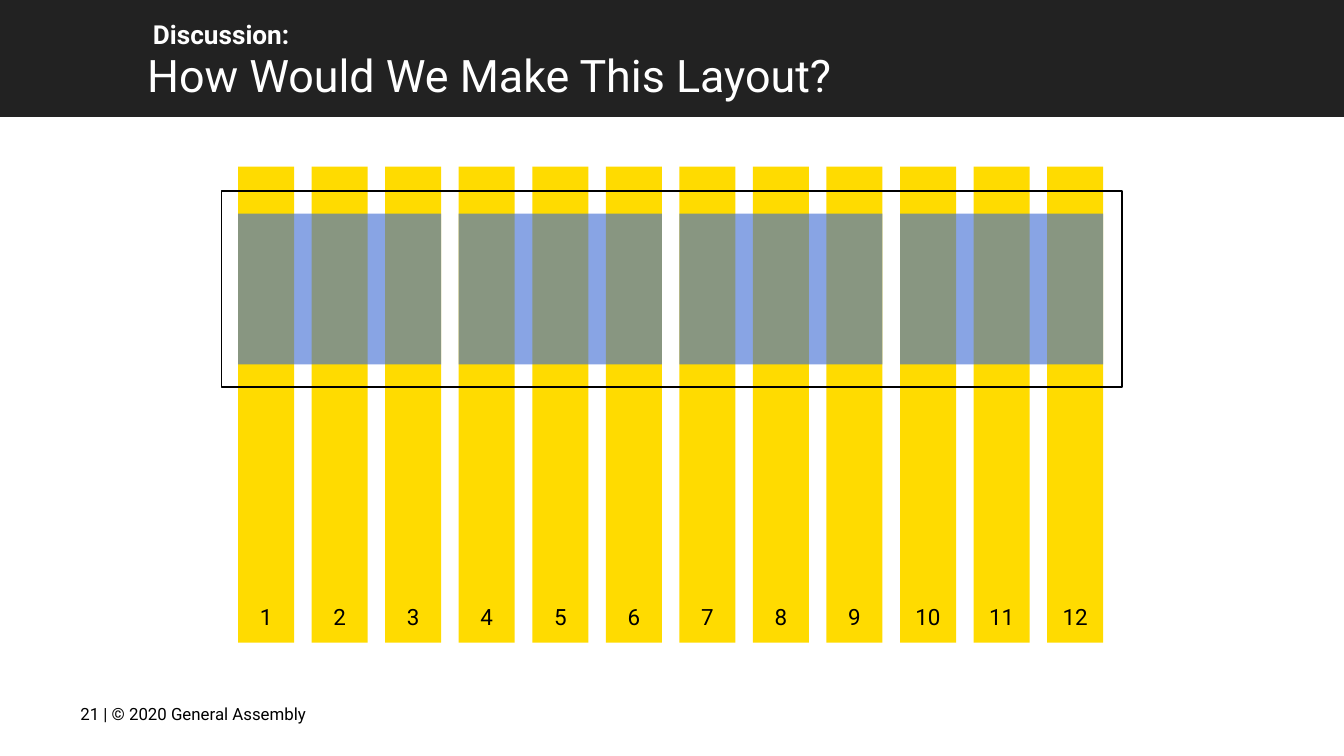
from pptx import Presentation
from pptx.dml.color import RGBColor as RGB
from pptx.enum.shapes import MSO_SHAPE as Shape
from pptx.enum.text import MSO_ANCHOR as Anchor, MSO_AUTO_SIZE as Fit, PP_ALIGN as Align
from pptx.oxml.ns import qn
from pptx.util import Cm, Pt
from lxml.etree import SubElement

COLORS = {"dark": "222222", "white": "FFFFFF", "black": "000000",
          "yellow": "FFDB00", "blue": "3D6BD4"}
FONT = "Roboto"

# Grid measures in centimetres
COUNT, SPAN = 12, 3
LEFT, TOP, HIGH = 4.5, 3.15, 9
WIDE, PITCH = 1.06, 1.39


def color(name):
    return RGB.from_string(COLORS[name])


def write(shape, text, size=12, ink="black", bold=False,
          align=Align.LEFT, anchor=Anchor.TOP, side=0.25):
    frame = shape.text_frame
    frame.word_wrap = True
    frame.auto_size = Fit.NONE
    frame.vertical_anchor = anchor
    frame.margin_left = frame.margin_right = Cm(side)
    frame.margin_top = frame.margin_bottom = Cm(0.25)
    frame.text = text
    para = frame.paragraphs[0]
    para.alignment = align
    font = para.font
    font.name, font.size, font.bold = FONT, Pt(size), bold
    font.color.rgb = color(ink)


def add_label(slide, box, text, **style):
    label = slide.shapes.add_textbox(*map(Cm, box))
    write(label, text, **style)


def add_rect(slide, box, fill=None, line=None, alpha=None):
    rect = slide.shapes.add_shape(Shape.RECTANGLE, *map(Cm, box))
    rect.shadow.inherit = False
    if fill:
        rect.fill.solid()
        rect.fill.fore_color.rgb = color(fill)
    else:
        rect.fill.background()
    if line:
        rect.line.color.rgb = color(line)
        rect.line.width = Pt(0.75)
    else:
        rect.line.fill.background()
    if alpha:
        tint = rect.fill._xPr.find(".//" + qn("a:srgbClr"))
        SubElement(tint, qn("a:alpha")).set("val", str(alpha * 1000))
    return rect


def add_title(slide, box, text, **style):
    title = slide.shapes.title
    title.left, title.top, title.width, title.height = map(Cm, box)
    write(title, text, **style)
    # Bring the title in front of the band
    slide.shapes._spTree.append(title._element)


def add_grid(slide):
    # Numbered columns
    for i in range(COUNT):
        bar = add_rect(slide, (LEFT + i * PITCH, TOP, WIDE, HIGH), "yellow")
        write(bar, str(i + 1), align=Align.CENTER, anchor=Anchor.BOTTOM, side=0)
    # Blocks that each span three columns
    wide = (SPAN - 1) * PITCH + WIDE
    for i in range(0, COUNT, SPAN):
        add_rect(slide, (LEFT + i * PITCH, 4.04, wide, 2.85), "blue", alpha=61)
    # Row outline
    add_rect(slide, (4.19, 3.61, 17.02, 3.71), line="black")


def main():
    deck = Presentation()
    deck.slide_width, deck.slide_height = Cm(25.4), Cm(14.29)
    slide = deck.slides.add_slide(deck.slide_layouts[5])

    # Header
    add_rect(slide, (0, -0.03, 25.4, 2.24), "dark")
    add_label(slide, (2.64, 0.1, 6.17, 1.27), "Discussion:",
              size=14, ink="white", bold=True)
    add_title(slide, (2.53, 0.66, 13.92, 1.27),
              "How Would We Make This Layout?", size=24, ink="white")

    # Footer
    add_label(slide, (1.27, 12.95, 6.58, 1.09), "21 | © 2020 General Assembly",
              size=9, anchor=Anchor.MIDDLE)

    add_grid(slide)
    deck.save("out.pptx")


if __name__ == "__main__":
    main()
